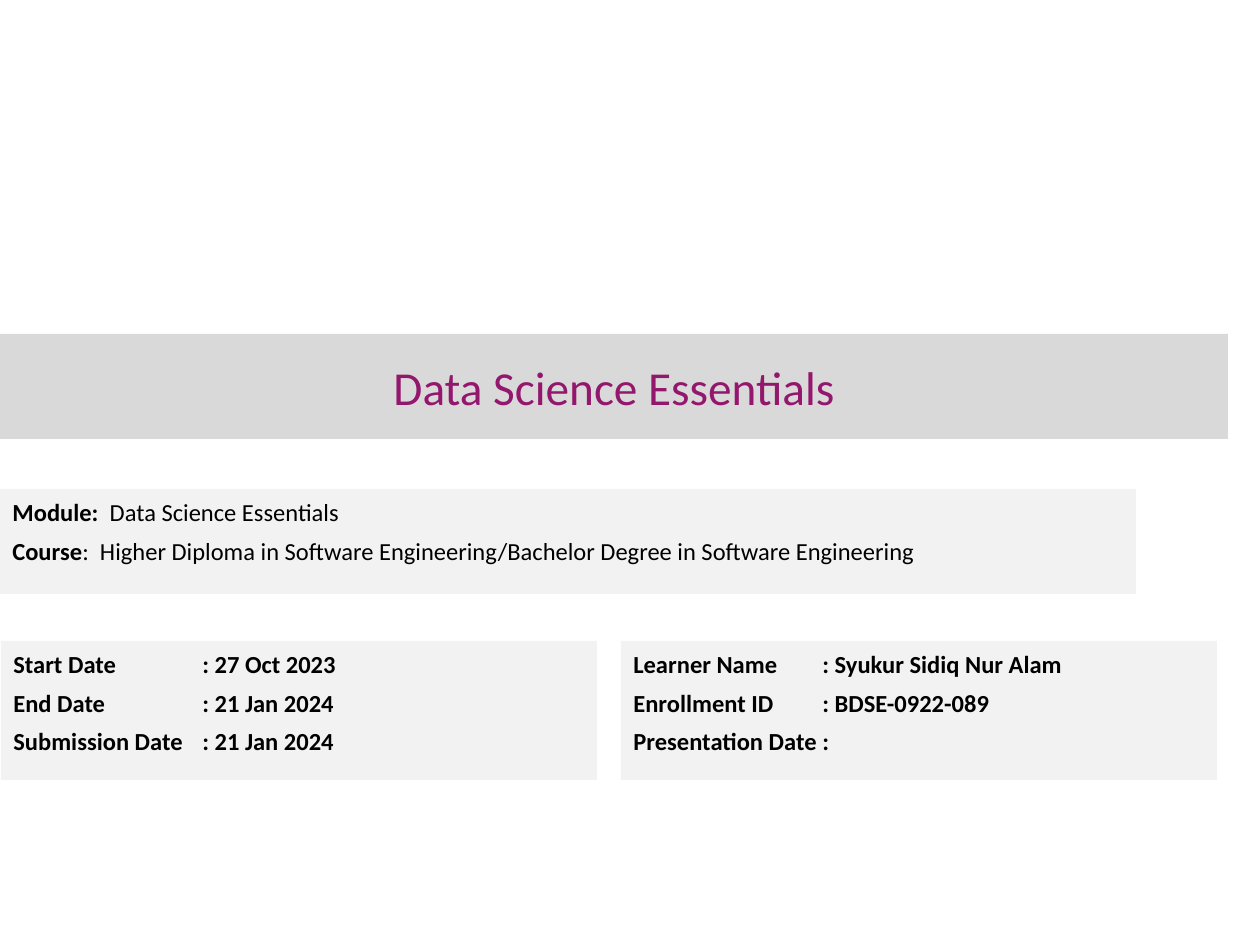
"""Build the cover slide for a Data Science Essentials module."""
from lxml.etree import SubElement
from pptx import Presentation
from pptx.dml.color import RGBColor
from pptx.enum.text import MSO_ANCHOR as Anchor, PP_ALIGN as Align
from pptx.oxml.ns import qn
from pptx.util import Pt

PX = 914400 // 126
FONT = "Calibri"
TAB = 189


def paint(target, color):
    target.fill.solid()
    target.fill.fore_color.rgb = RGBColor.from_string(color)


def add_panel(slide, left, top, width, height, rows, value_bold):
    panel = slide.shapes.add_textbox(left * PX, top * PX, width * PX, height * PX)
    paint(panel, "F2F2F2")
    frame = panel.text_frame
    frame.word_wrap = True
    for index, (label, value) in enumerate(rows):
        paragraph = frame.add_paragraph() if index else frame.paragraphs[0]
        paragraph.line_spacing = Pt(18)
        paragraph.space_before = paragraph.space_after = Pt(2)
        tabs = SubElement(paragraph._p.get_or_add_pPr(), qn("a:tabLst"))
        SubElement(tabs, qn("a:tab"), pos=str(TAB * PX), algn="l")
        paragraph.font.name = FONT
        paragraph.font.size = Pt(14)
        paint(paragraph.font, "000000")
        for text, bold in ((label, True), (value, value_bold)):
            run = paragraph.add_run()
            run.text = text
            run.font.bold = bold


presentation = Presentation()
presentation.slide_width = 1260 * PX
presentation.slide_height = 945 * PX
slide = presentation.slides.add_slide(presentation.slide_layouts[5])

title = slide.shapes.title
title.left, title.top, title.width, title.height = 0, 334 * PX, 1228 * PX, 105 * PX
paint(title, "D9D9D9")
title.text_frame.text = "Data Science Essentials"
title.text_frame.vertical_anchor = Anchor.MIDDLE
paragraph = title.text_frame.paragraphs[0]
paragraph.alignment = Align.CENTER
paragraph.font.name = FONT
paragraph.font.size = Pt(27)
paint(paragraph.font, "93176C")

module_rows = [
    ("Module: ", " Data Science Essentials"),
    ("Course", ":  Higher Diploma in Software Engineering/Bachelor Degree in Software Engineering"),
]
date_rows = [
    ("Start Date", "\t: 27 Oct 2023"),
    ("End Date", "\t: 21 Jan 2024"),
    ("Submission Date", "\t: 21 Jan 2024"),
]
learner_rows = [
    ("Learner Name", "\t: Syukur Sidiq Nur Alam"),
    ("Enrollment ID", "\t: BDSE-0922-089"),
    ("Presentation Date", "\t:"),
]
add_panel(slide, 0, 489, 1136, 105, module_rows, False)
for left, rows in ((1, date_rows), (621, learner_rows)):
    add_panel(slide, left, 641, 596, 139, rows, True)

presentation.save("out.pptx")
